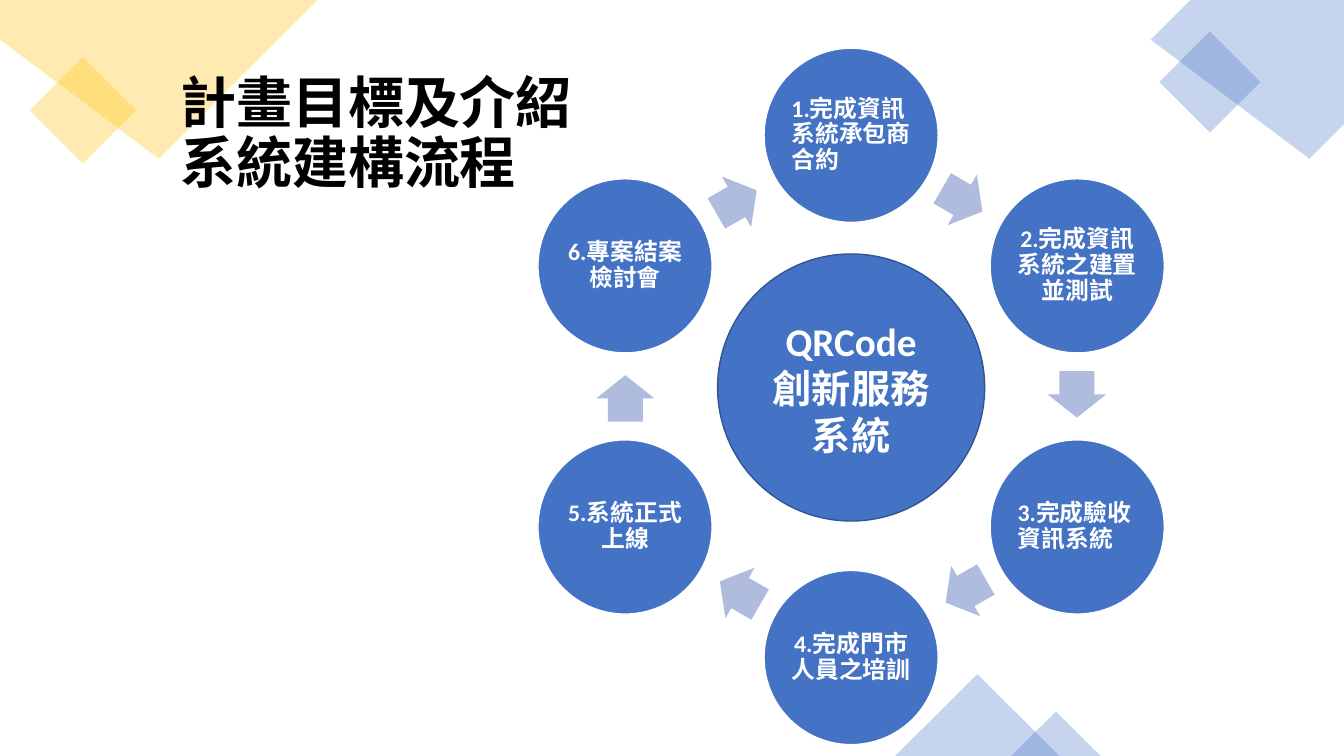
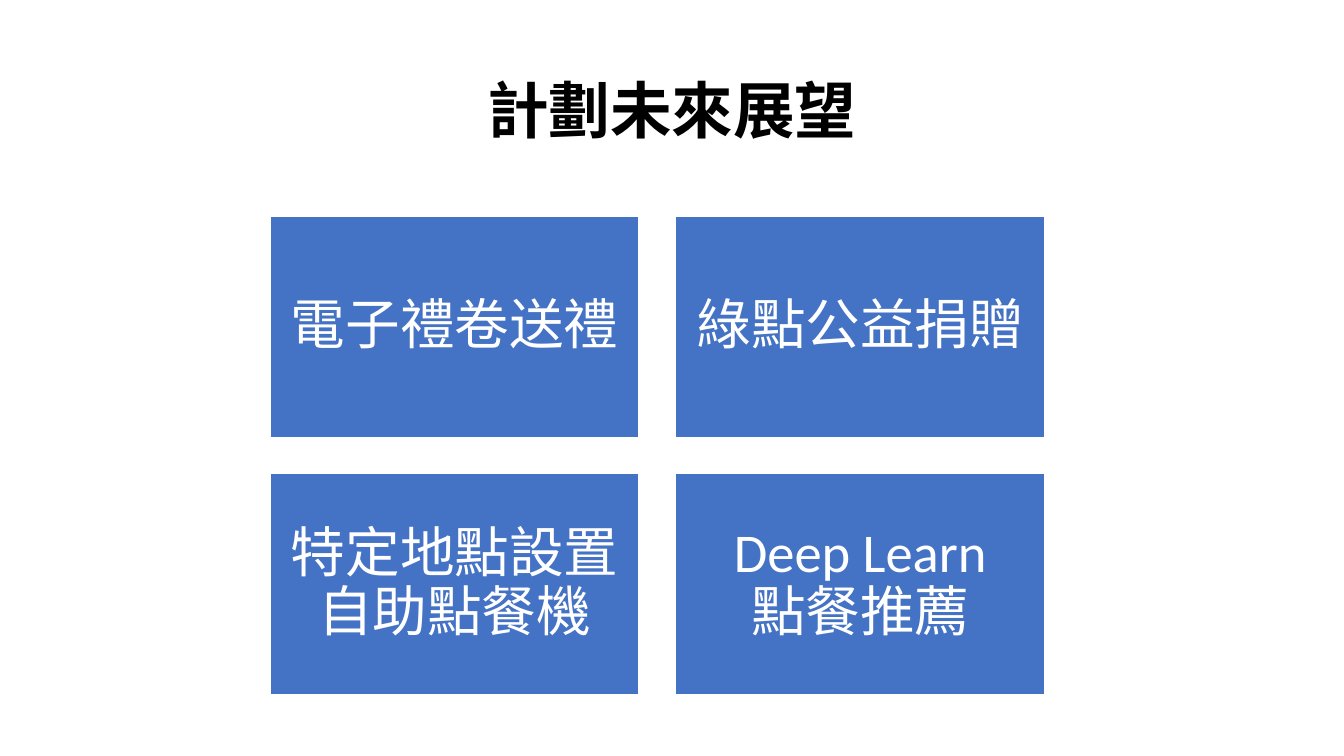
import math

from lxml import etree
from pptx import Presentation
from pptx import util as u
from pptx.dml.color import RGBColor
from pptx.enum import shapes, text
from pptx.oxml.ns import qn

BLUE, GOLD, ARROW = "4472C4", "FFC000", "B0BCDE"
NAVY, WHITE, BLACK = "325491", "FFFFFF", "000000"
FONT = "Calibri"
LEFT, CENTER = text.PP_ALIGN.LEFT, text.PP_ALIGN.CENTER
SHAPE = shapes.MSO_SHAPE
rgb = RGBColor.from_string


def paint(sp, fill, line=None, opacity=None):
    """Flat fill, optional 1 pt outline, optional opacity in percent."""
    sp.shadow.inherit = False
    sp.fill.solid()
    sp.fill.fore_color.rgb = rgb(fill)
    if opacity:
        color = sp.fill._xPr.find(".//" + qn("a:srgbClr"))
        etree.SubElement(color, qn("a:alpha"), val=str(opacity * 1000))
    if line:
        sp.line.color.rgb = rgb(line)
        sp.line.width = u.Pt(1)
    else:
        sp.line.fill.background()


def write(sp, content, size, color=WHITE, bold=False, align=CENTER,
          spacing=0.9, after=0, inset=None):
    """Fill a shape with text: newline starts a paragraph, \\v breaks a line."""
    tf = sp.text_frame
    tf.word_wrap = True
    tf.auto_size = text.MSO_AUTO_SIZE.NONE
    tf.vertical_anchor = text.MSO_ANCHOR.MIDDLE
    if inset is not None:
        tf.margin_left = tf.margin_right = u.Cm(inset)
        tf.margin_top = tf.margin_bottom = u.Cm(inset)
    tf.text = content
    for p in tf.paragraphs:
        p.alignment = align
        p.line_spacing = spacing
        p.space_after = u.Pt(after)
        for r in p.runs:
            r.font.name = FONT
            r.font.size = u.Pt(size)
            r.font.bold = bold
            r.font.color.rgb = rgb(color)


prs = Presentation()
prs.slide_width, prs.slide_height = u.Cm(33.87), u.Cm(19.05)

# Both slides: title-only layout with a bold black title
titles = [
    ("計畫目標及介紹\n系統建構流程", 40, LEFT, (4.29, 1.5, 27.94, 3.81)),
    ("計劃未來展望", 44, CENTER, (2.33, 1.01, 29.21, 3.68)),
]
for content, size, align, box in titles:
    s = prs.slides.add_slide(prs.slide_layouts[5])
    title = s.shapes.title
    title.left, title.top, title.width, title.height = map(u.Cm, box)
    write(title, content, size, color=BLACK, bold=True, align=align)
flow, outlook = prs.slides

# Slide 1: translucent corner decorations
corners = [
    (GOLD, [(0, 0), (7.87, 0), (3.56, 4.11), (0, 0.71)]),
    (BLUE, [(30, 0), (33.87, 0), (33.87, 3.3), (32.82, 4.34), (29.21, 0.76)]),
]
for color, points in corners:
    outline = flow.shapes.build_freeform(*points[0], scale=u.Cm(1))
    outline.add_line_segments(points[1:], close=True)
    paint(outline.convert_to_shape(), color, opacity=30)

accents = [
    (SHAPE.RECTANGLE, GOLD, 45, (1.14, 1.83, 1.9, 1.9)),
    (SHAPE.RECTANGLE, BLUE, 45, (29.59, 1.17, 1.8, 1.8)),
    (SHAPE.ISOSCELES_TRIANGLE, BLUE, 0, (22.56, 16.99, 4.14, 2.06)),
    (SHAPE.ISOSCELES_TRIANGLE, BLUE, 0, (25.48, 17.93, 2.26, 1.12)),
]
for kind, color, angle, box in accents:
    sp = flow.shapes.add_shape(kind, *map(u.Cm, box))
    sp.rotation = angle
    paint(sp, color, opacity=30)

# The title stands in front of the decorations
title = flow.shapes.title.element
title.getparent().append(title)

# Slide 1: hub of the cycle
cx, cy = 21.45, 9.99
hub = 6.73
sp = flow.shapes.add_shape(SHAPE.OVAL, u.Cm(cx - hub / 2), u.Cm(6.4),
                           u.Cm(hub), u.Cm(hub))
paint(sp, BLUE, line=NAVY)
write(sp, "QRCode\v創新服務系統", 28, bold=True, spacing=1.0, after=6)

# Slide 1: six steps clockwise from the top, an arrow after each
steps = [
    ("1.完成資訊系統承包商合約", LEFT),
    ("2.完成資訊系統之建置並測試", CENTER),
    ("3.完成驗收資訊系統", LEFT),
    ("4.完成門市人員之培訓", CENTER),
    ("5.系統正式上線", CENTER),
    ("6.專案結案檢討會", CENTER),
]
step_radius, step_size = 6.58, 4.39
arrow_radius, arrow_w, arrow_h = 5.69, 1.17, 1.47
turn = 360 / len(steps)
for i, (content, align) in enumerate(steps):
    a = math.radians(i * turn - 90)
    x, y = cx + step_radius * math.cos(a), cy + step_radius * math.sin(a)
    sp = flow.shapes.add_shape(
        SHAPE.OVAL, u.Cm(x - step_size / 2), u.Cm(y - step_size / 2),
        u.Cm(step_size), u.Cm(step_size))
    paint(sp, BLUE, line=WHITE)
    write(sp, content, 17, bold=True, align=align, inset=0.05)

    a = math.radians((i + 0.5) * turn - 90.5)
    x, y = cx + arrow_radius * math.cos(a), cy + arrow_radius * math.sin(a)
    sp = flow.shapes.add_shape(
        SHAPE.RIGHT_ARROW, u.Cm(x - arrow_w / 2), u.Cm(y - arrow_h / 2),
        u.Cm(arrow_w), u.Cm(arrow_h))
    sp.adjustments[0], sp.adjustments[1] = 0.6, 0.5
    sp.rotation = (i + 0.5) * turn
    paint(sp, ARROW)

# Slide 2: two by two grid of plans
plans = ["電子禮卷送禮", "綠點公益捐贈", "特定地點設置自助點餐機",
         "Deep Learn\v點餐推薦"]
card_w, card_h, gap = 9.3, 5.56, 0.92
for i, content in enumerate(plans):
    row, col = divmod(i, 2)
    sp = outlook.shapes.add_shape(
        SHAPE.RECTANGLE, u.Cm(6.81 + col * (card_w + gap)),
        u.Cm(5.46 + row * (card_h + gap)), u.Cm(card_w), u.Cm(card_h))
    paint(sp, BLUE, line=WHITE)
    write(sp, content, 39, inset=0.4)

prs.save("out.pptx")
